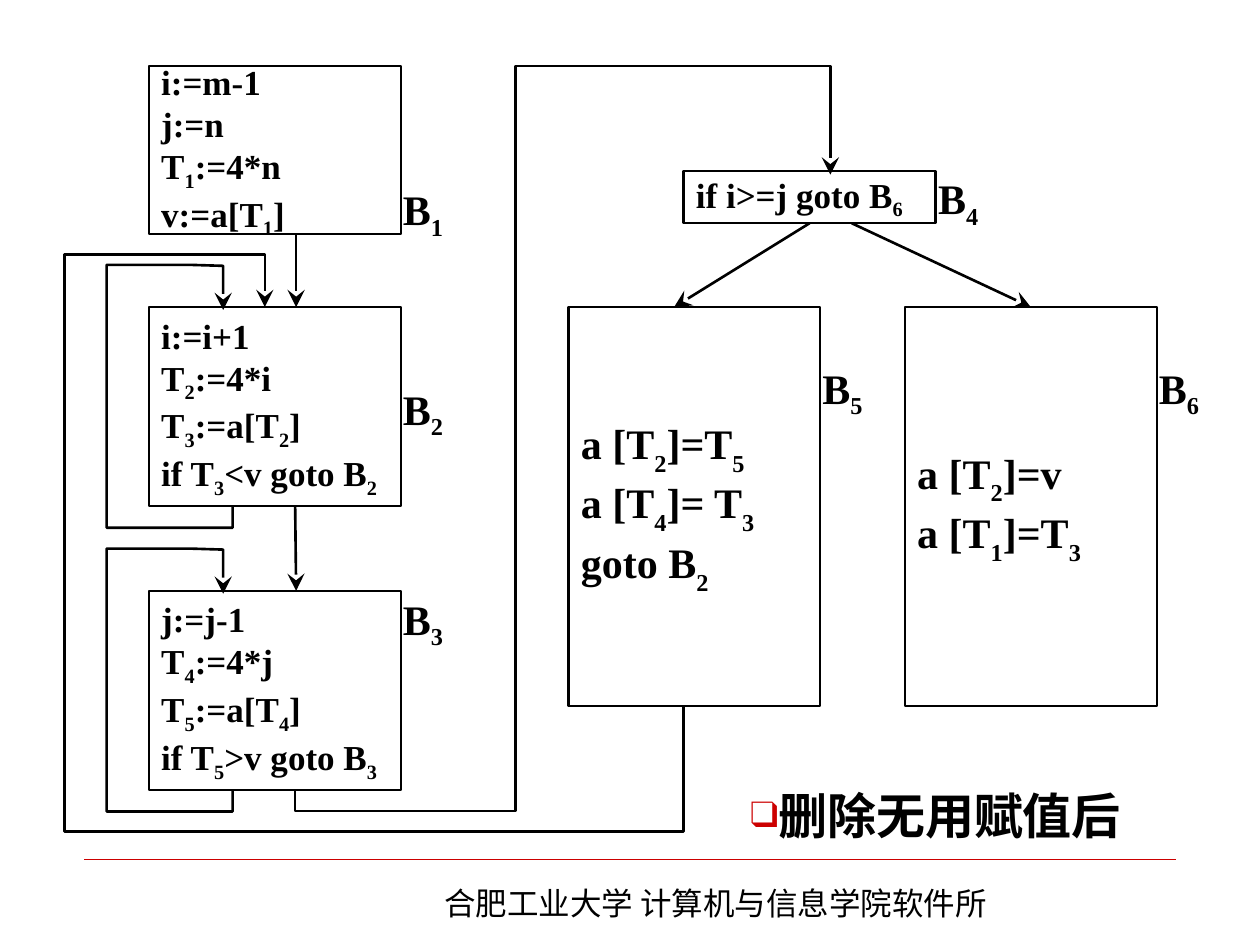
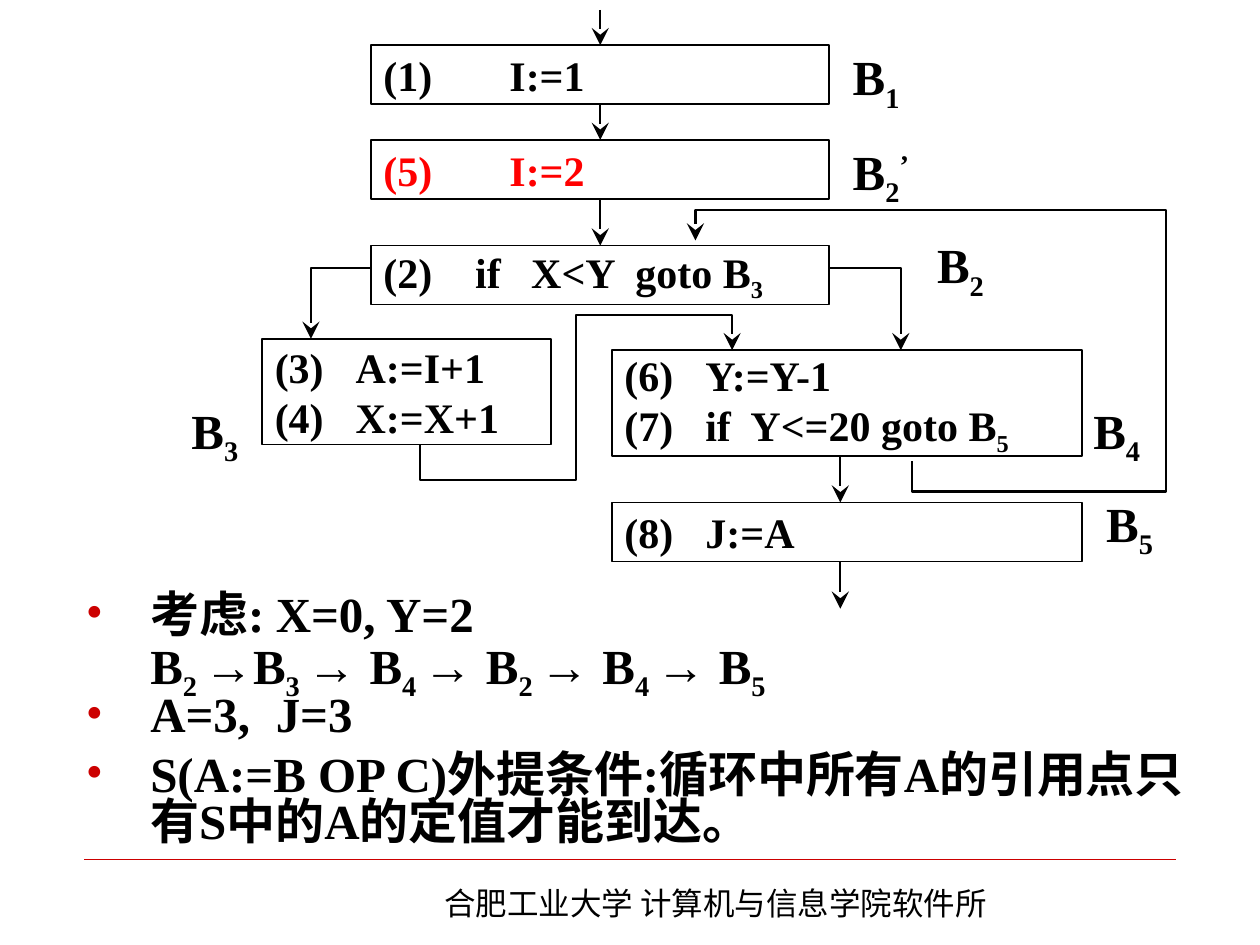
from itertools import groupby

from lxml import etree
from pptx import Presentation
from pptx.dml.color import RGBColor
from pptx.enum.shapes import MSO_CONNECTOR, MSO_SHAPE
from pptx.enum.text import MSO_ANCHOR, PP_ALIGN
from pptx.oxml.ns import qn
from pptx.util import Cm, Pt

RECT = MSO_SHAPE.RECTANGLE
LINE = MSO_CONNECTOR.STRAIGHT
MIDDLE = MSO_ANCHOR.MIDDLE
LEFT = PP_ALIGN.LEFT
HUES = {"ink": "000000", "mark": "FF0000", "rule": "CC0000"}
SERIF, SANS, ARROW = "Times New Roman", "Noto Sans CJK SC", "Arial"
BOTTOM, TOP = 2, 0


def write(frame, lines, size, hue="ink", face=SERIF, dip=25, tabs=(), bullets=()):
    """Fill a frame; "_" lowers the next character and "^" raises it."""
    for i, line in enumerate(lines):
        para = frame.paragraphs[0] if i == 0 else frame.add_paragraph()
        para.alignment = LEFT
        props = para._p.get_or_add_pPr()
        if bullets and bullets[i]:
            sign, scale = bullets[i]
            tint = etree.SubElement(props, qn("a:buClr"))
            etree.SubElement(tint, qn("a:srgbClr"), val=HUES["rule"])
            etree.SubElement(props, qn("a:buSzPct"), val=str(scale * 1000))
            etree.SubElement(props, qn("a:buFont"), typeface=SERIF)
            etree.SubElement(props, qn("a:buChar"), char=sign)
        if tabs and "\t" in line:
            stops = etree.SubElement(props, qn("a:tabLst"))
            for stop in tabs:
                etree.SubElement(stops, qn("a:tab"), pos=str(Cm(stop)), algn="l")
        para.font.size = Pt(size)
        para.font.bold = face == SERIF
        para.font.name = face
        para.font.color.rgb = RGBColor.from_string(HUES[hue])
        chars, kind, last = [], "", ""
        for char in line:
            if char in "_^":
                kind = char
            else:
                arrow = "→" if char == "→" or last + char == "→ " else ""
                chars.append((char, kind or arrow))
                kind = ""
            last = char
        for kind, group in groupby(chars, key=lambda pair: pair[1]):
            run = para.add_run()
            run.text = "".join(char for char, _ in group)
            if kind == "→":
                run.font.name = ARROW
            elif kind:
                shift = -dip if kind == "_" else 30
                run._r.get_or_add_rPr().set("baseline", str(shift * 1000))


def stroke(shape, width, hue="ink", head=False):
    shape.line.width = Pt(width)
    shape.line.color.rgb = RGBColor.from_string(HUES[hue])
    props = shape._element.spPr
    if head:
        etree.SubElement(props.find(qn("a:ln")), qn("a:tailEnd"),
                         type="stealth", w="lg", len="lg")
    etree.SubElement(props, qn("a:effectLst"))


# Boxes: left, top, width, height, size, hue, dip, tab stops, lines
# Tags: left, top, text
# Arrows: x1, y1, x2, y2, box left from its bottom, box entered at its top
# Bends: corner points
WIDE, TALL = 5.08, 4.02
first = {
    "box": [
        (3, 1.33, WIDE, 3.39, 20, "ink", 25, (),
         ["i:=m-1", "j:=n", "T_1:=4*n", "v:=a[T_1]"]),
        (3, 6.19, WIDE, TALL, 20, "ink", 25, (),
         ["i:=i+1", "T_2:=4*i", "T_3:=a[T_2]", "if T_3<v goto B_2"]),
        (3, 11.91, WIDE, TALL, 20, "ink", 25, (),
         ["j:=j-1", "T_4:=4*j", "T_5:=a[T_4]", "if T_5>v goto B_3"]),
        (13.78, 3.44, WIDE, 1.06, 20, "ink", 25, (), ["if i>=j goto B_6"]),
        (11.46, 6.19, WIDE, 8.05, 24, "ink", 30, (),
         ["a [T_2]=T_5", "a [T_4]= T_3", "goto B_2"]),
        (18.24, 6.19, WIDE, 8.05, 24, "ink", 30, (), ["a [T_2]=v", "a [T_1]=T_3"]),
    ],
    "tag": [(7.87, 3.44, "B_1"), (7.87, 7.46, "B_2"), (7.87, 11.69, "B_3"),
            (18.66, 3.22, "B_4"), (16.33, 7.04, "B_5"), (23.11, 7.04, "B_6")],
    "side": (1.69, 1.69), "size": 24, "edge": 1.25, "wire": 1.5,
    "arrow": [(5.97, 4.71, 5.97, 6.19, None, None),
              (5.95, 10.21, 5.97, 11.91, None, None),
              (16.32, 4.5, 13.59, 6.19, None, None),
              (17.17, 4.5, 20.78, 6.19, None, 5)],
    "bend": [
        [(5.95, 15.91), (5.95, 16.35), (10.39, 16.35), (10.39, 1.33),
         (16.74, 1.33), (16.74, 3.52)],
        [(13.78, 14.24), (13.78, 16.76), (1.3, 16.76), (1.3, 5.13),
         (5.34, 5.13), (5.34, 6.19)],
    ] + [
        [(4.69, y + 4), (4.69, y + 4.45), (2.15, y + 4.45), (2.15, y - 0.85),
         (3.83, y - 0.85), (4.5, y - 0.83), (4.5, y + 0.06)]
        for y in (6.19, 11.91)
    ],
}
first["arrow"][2] = (16.32, 4.5, 13.59, 6.19, 3, None)

LONG, LOW, HIGH = 9.24, 1.19, 2.13
second = {
    "box": [
        (7.48, 0.91, LONG, LOW, 24, "ink", 25, (2.54,), ["(1)\tI:=1"]),
        (7.48, 2.82, LONG, LOW, 24, "mark", 25, (2.54,), ["(5)\tI:=2"]),
        (7.48, 4.95, LONG, LOW, 24, "ink", 25, (1.85, 2.98, 5.08),
         ["(2)\tif\tX<Y\tgoto B_3"]),
        (5.29, 6.83, 5.82, HIGH, 24, "ink", 25, (1.63,),
         ["(3)\tA:=I+1", "(4)\tX:=X+1"]),
        (12.34, 7.06, 9.47, HIGH, 24, "ink", 25, (1.63, 2.54),
         ["(6)\tY:=Y-1", "(7)\tif\tY<=20 goto B_5"]),
        (12.34, 10.13, 9.47, LOW, 24, "ink", 25, (1.63,), ["(8)\tJ:=A"]),
    ],
    "tag": [(16.94, 0.91, "B_1"), (16.94, 2.82, "B_2^’"), (18.64, 4.7, "B_2"),
            (3.61, 8.03, "B_3"), (21.79, 8.03, "B_4"), (22.05, 9.91, "B_5")],
    "side": (2.2, 1.42), "size": 28, "edge": 1, "wire": 1.25,
    "arrow": [(12.1, 0.2, 12.1, 0.91, None, 0),
              (12.1, 2.1, 12.1, 2.82, 0, 1),
              (12.1, 4.01, 12.1, 4.95, 1, 2),
              (16.94, 9.19, 16.94, 10.13, None, None),
              (16.94, 11.33, 16.94, 12.27, None, None)],
    "bend": [
        [(7.48, 5.41), (6.27, 5.41), (6.27, 6.83)],
        [(16.72, 5.41), (18.16, 5.41), (18.16, 7.06)],
        [(18.39, 9.3), (18.39, 9.91), (23.5, 9.91), (23.5, 4.24),
         (14.02, 4.24), (14.02, 4.85)],
        [(8.46, 8.97), (8.46, 9.68), (11.61, 9.68), (11.61, 6.35),
         (14.76, 6.35), (14.76, 7.06)],
    ],
}

deck = Presentation()
deck.slide_width, deck.slide_height = Cm(25.4), Cm(19.05)
slides = []
for flow in (first, second):
    slide = deck.slides.add_slide(deck.slide_layouts[6])
    slides.append(slide)
    shapes = slide.shapes

    rule = shapes.add_connector(LINE, Cm(1.7), Cm(17.32), Cm(23.7), Cm(17.32))
    stroke(rule, 0.25, "rule")
    foot = shapes.add_textbox(Cm(8.71), Cm(17.7), Cm(11.99), Cm(1.02)).text_frame
    foot.word_wrap = True
    write(foot, ["合肥工业大学 计算机与信息学院软件所"], 18, face=SANS)

    boxes = []
    for left, top, width, height, size, hue, dip, tabs, lines in flow["box"]:
        box = shapes.add_shape(RECT, Cm(left), Cm(top), Cm(width), Cm(height))
        box.fill.background()
        stroke(box, flow["edge"])
        box.text_frame.word_wrap = False
        box.text_frame.vertical_anchor = MIDDLE
        write(box.text_frame, lines, size, hue, dip=dip, tabs=tabs)
        boxes.append(box)

    for left, top, text in flow["tag"]:
        width, height = flow["side"]
        tag = shapes.add_textbox(Cm(left), Cm(top), Cm(width), Cm(height))
        tag.text_frame.word_wrap = False
        tag.text_frame.vertical_anchor = MIDDLE
        write(tag.text_frame, [text], flow["size"])

    for x1, y1, x2, y2, source, target in flow["arrow"]:
        arrow = shapes.add_connector(LINE, Cm(x1), Cm(y1), Cm(x2), Cm(y2))
        if source is not None:
            arrow.begin_connect(boxes[source], BOTTOM)
        if target is not None:
            arrow.end_connect(boxes[target], TOP)
        stroke(arrow, flow["wire"], head=True)

    for bend in flow["bend"]:
        points = [(Cm(x), Cm(y)) for x, y in bend]
        path = shapes.build_freeform(*points[0])
        path.add_line_segments(points[1:], close=False)
        wire = path.convert_to_shape()
        wire.fill.background()
        stroke(wire, flow["wire"], head=True)

note = slides[0].shapes.add_textbox(Cm(14.88), Cm(15.72), Cm(8.79), Cm(1.45))
note.text_frame.word_wrap = True
write(note.text_frame, ["删除无用赋值后"], 28, bullets=[("❑", 75)])

body = slides[1].shapes.add_textbox(Cm(1.48), Cm(11.86), Cm(23.5), Cm(5.51))
body.text_frame.word_wrap = True
dot = ("•", 100)
write(body.text_frame, [
    "考虑:\tX=0, Y=2",
    "B_2_ →B_3_ → B_4_ → B_2_ → B_4_ → B_5",
    "A=3,\tJ=3",
    "S(A:=B OP C)外提条件:循环中所有A的引用点只有S中的A的定值才能到达。",
], 28, tabs=(3.83, 4.36), bullets=[dot, None, dot, dot])
for i, para in enumerate(body.text_frame.paragraphs):
    para.line_spacing = 0.8
    para.space_before = Pt(7 if i == 3 else 0)
    para._p.pPr.set("marL", str(Cm(2.51 if i == 1 else 1.3)))
    para._p.pPr.set("indent", str(Cm(-1.21 if i == 1 else -1.3)))

deck.save("out.pptx")
